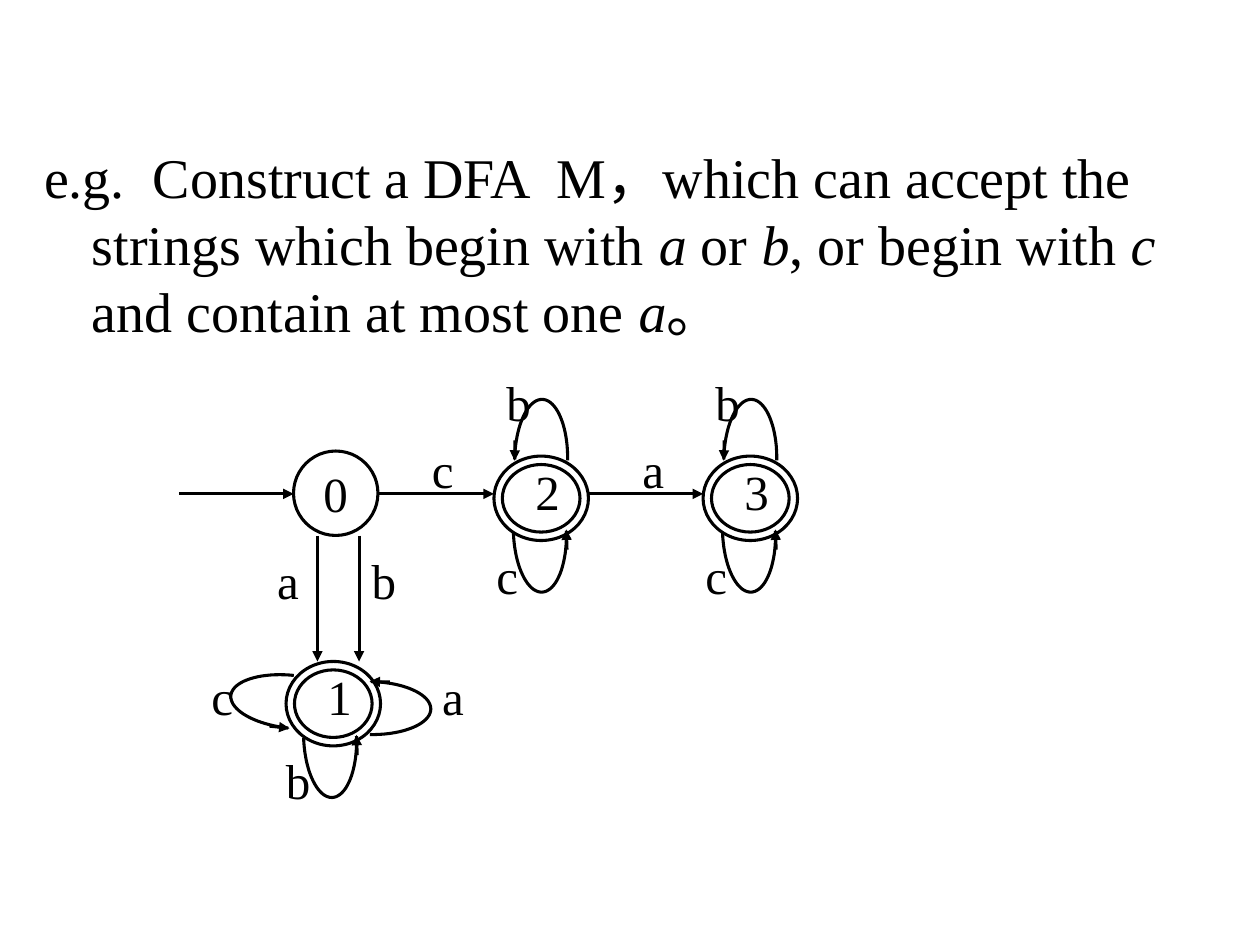
"""Build a slide that states a DFA exercise and draws its state diagram."""
from dataclasses import dataclass
from math import cos, pi, radians, sin

from lxml.etree import SubElement
from pptx import Presentation
from pptx.dml.color import RGBColor
from pptx.enum.shapes import MSO_CONNECTOR, MSO_SHAPE
from pptx.enum.text import MSO_ANCHOR, MSO_AUTO_SIZE, PP_ALIGN
from pptx.oxml.ns import qn
from pptx.shapes.autoshape import Shape
from pptx.slide import Slide
from pptx.text.text import _Paragraph
from pptx.util import Inches, Pt

BLACK = RGBColor(0, 0, 0)
FONT = "Times New Roman"
LINE_WIDTH = Pt(1.75)
LOOP_REACH, LOOP_HALF, LOOP_STEPS = 0.48, 0.21, 40
STATE_WIDTH, STATE_HEIGHT = 0.75, 0.67
MAIN_ROW_Y, LOWER_ROW_Y = 3.62, 5.25
ARROW_Y = 3.92


@dataclass(frozen=True)
class Label:
    text: str
    left: float
    top: float


@dataclass(frozen=True)
class Transition:
    start_x: float
    start_y: float
    end_x: float
    end_y: float


@dataclass(frozen=True)
class Loop:
    x: float
    y: float
    angle: float

    def point(self, along: float, across: float) -> tuple[float, float]:
        """Turn a position relative to the loop's mouth into slide inches."""
        turn = radians(self.angle)
        return (self.x + along * cos(turn) - across * sin(turn),
                self.y + along * sin(turn) + across * cos(turn))


@dataclass(frozen=True)
class FinalState:
    name: str
    left: float
    top: float
    loops: tuple[Loop, ...]
    labels: tuple[Label, ...]


def style_text(paragraph: _Paragraph, size: int) -> None:
    """Apply the slide's font to a paragraph."""
    paragraph.font.name = FONT
    paragraph.font.size = Pt(size)
    paragraph.font.color.rgb = BLACK


def style_outline(shape: Shape) -> None:
    """Leave a shape unfilled with a plain black outline."""
    shape.shadow.inherit = False
    shape.fill.background()
    shape.line.color.rgb = BLACK
    shape.line.width = LINE_WIDTH


def draw_label(slide: Slide, label: Label) -> None:
    """Draw a symbol or state name."""
    symbol = slide.shapes.add_textbox(
        Inches(label.left), Inches(label.top), Inches(0.39), Inches(0.57))
    frame = symbol.text_frame
    frame.word_wrap = False
    frame.auto_size = MSO_AUTO_SIZE.SHAPE_TO_FIT_TEXT
    frame.text = label.text
    style_text(frame.paragraphs[0], 28)


def draw_transition(slide: Slide, transition: Transition) -> None:
    """Draw a straight arrow."""
    arrow = slide.shapes.add_connector(
        MSO_CONNECTOR.STRAIGHT,
        Inches(transition.start_x), Inches(transition.start_y),
        Inches(transition.end_x), Inches(transition.end_y))
    arrow.line.color.rgb = BLACK
    arrow.line.width = LINE_WIDTH
    SubElement(arrow.line._get_or_add_ln(), qn("a:tailEnd"), type="triangle")
    SubElement(arrow._element.spPr, qn("a:effectLst"))


def draw_loop(slide: Slide, loop: Loop) -> None:
    """Draw a half-ellipse that returns to its state with an arrowhead."""
    angles = [pi * step / LOOP_STEPS for step in range(LOOP_STEPS + 1)]
    points = [loop.point(LOOP_REACH * sin(angle), LOOP_HALF * cos(angle))
              for angle in angles]
    curve = [(Inches(x), Inches(y)) for x, y in points]
    builder = slide.shapes.build_freeform(*curve[0])
    builder.add_line_segments(curve[1:], close=False)
    style_outline(builder.convert_to_shape())
    draw_transition(slide, Transition(*loop.point(0.15, -LOOP_HALF),
                                      *loop.point(-0.01, -LOOP_HALF)))


def draw_final_state(slide: Slide, state: FinalState) -> None:
    """Draw a double ring with its name, loops and loop symbols."""
    ring = slide.shapes.add_shape(
        MSO_SHAPE.DONUT, Inches(state.left), Inches(state.top),
        Inches(STATE_WIDTH), Inches(STATE_HEIGHT))
    ring.adjustments[0] = 0.1
    style_outline(ring)
    draw_label(slide, Label(state.name, state.left + 0.23, state.top - 0.01))
    for loop in state.loops:
        draw_loop(slide, loop)
    for label in state.labels:
        draw_label(slide, label)


def draw_start_state(slide: Slide) -> None:
    """Draw the single ring of state 0."""
    ring = slide.shapes.add_shape(
        MSO_SHAPE.OVAL, Inches(2.33), Inches(3.58), Inches(0.67), Inches(0.67))
    style_outline(ring)
    frame = ring.text_frame
    frame.word_wrap = False
    frame.vertical_anchor = MSO_ANCHOR.MIDDLE
    frame.text = "0"
    frame.paragraphs[0].alignment = PP_ALIGN.CENTER
    style_text(frame.paragraphs[0], 28)


def write_exercise(slide: Slide) -> None:
    """Fill the body placeholder with the exercise."""
    title, body = slide.placeholders
    title._element.getparent().remove(title._element)
    body.left, body.top = Inches(0.25), Inches(1.08)
    body.width, body.height = Inches(9.5), Inches(1.83)
    body.text_frame.auto_size = MSO_AUTO_SIZE.NONE
    exercise = body.text_frame.paragraphs[0]
    properties = exercise._p.get_or_add_pPr()
    properties.set("marL", str(Inches(0.38)))
    properties.set("indent", str(Inches(-0.38)))
    SubElement(properties, qn("a:buNone"))
    exercise.space_before = Pt(0)
    style_text(exercise, 32)
    parts = ("e.g.  Construct a DFA  M，which can accept the strings which begin with ",
             "a", " or ", "b", ", or begin with ", "c",
             " and contain at most one ", "a", "。")
    for position, part in enumerate(parts):
        run = exercise.add_run()
        run.text = part
        run.font.italic = position % 2 == 1


def main_row_state(name: str, left: float) -> FinalState:
    """Describe a final state that loops on b above and c below."""
    middle = left + STATE_WIDTH / 2
    return FinalState(
        name, left, MAIN_ROW_Y,
        (Loop(middle, 3.65, 271), Loop(middle - 0.01, 4.22, 88)),
        (Label("b", left, 2.91), Label("c", left - 0.08, 4.28)))


def main() -> None:
    """Create the presentation and save it."""
    presentation = Presentation()
    presentation.slide_width, presentation.slide_height = Inches(10), Inches(7.5)
    slide = presentation.slides.add_slide(presentation.slide_layouts[1])
    write_exercise(slide)
    draw_start_state(slide)
    states = (
        FinalState("1", 2.27, LOWER_ROW_Y,
                   (Loop(2.62, 5.85, 88), Loop(2.94, 5.62, 1), Loop(2.31, 5.57, 186)),
                   (Label("b", 2.17, 5.91), Label("c", 1.58, 5.24), Label("a", 3.41, 5.24))),
        main_row_state("2", 3.92),
        main_row_state("3", 5.58))
    for state in states:
        draw_final_state(slide, state)
    transitions = [Transition(start, ARROW_Y, end, ARROW_Y)
                   for start, end in ((1.42, 2.33), (3, 3.92), (4.67, 5.58))]
    transitions += [Transition(x, 4.25, x, LOWER_ROW_Y) for x in (2.52, 2.85)]
    for transition in transitions:
        draw_transition(slide, transition)
    for label in (Label("a", 2.1, 4.32), Label("b", 2.85, 4.32),
                  Label("c", 3.33, 3.44), Label("a", 5, 3.44)):
        draw_label(slide, label)
    presentation.save("out.pptx")


if __name__ == "__main__":
    main()
